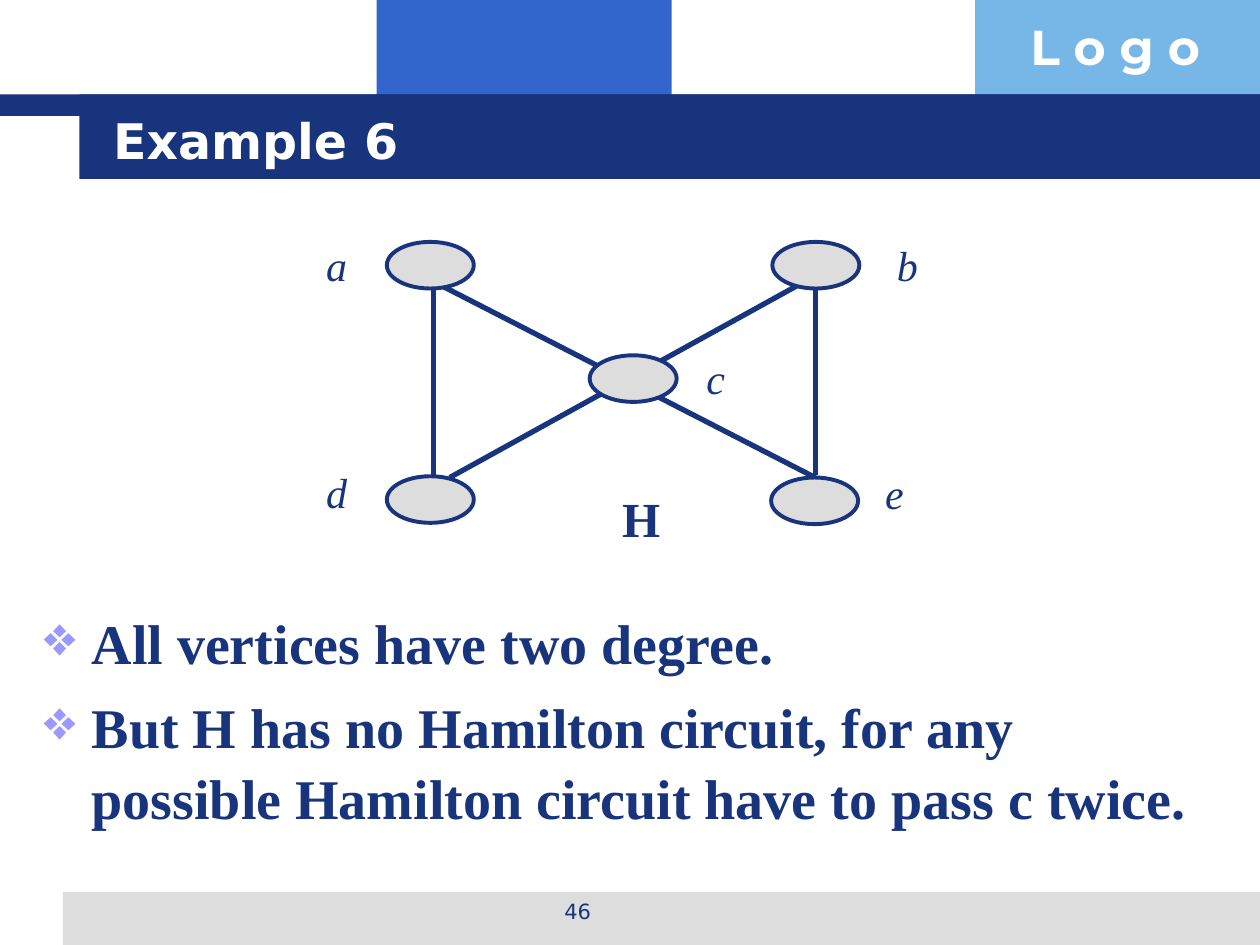
from lxml import etree
from pptx import Presentation
from pptx import util as u
from pptx.dml.color import RGBColor
from pptx.enum import shapes, text
from pptx.oxml.ns import qn

NAVY, GREY, WHITE = "17347D", "DDDDDD", "FFFFFF"
SERIF, SANS = "Times New Roman", "DejaVu Sans"
LEFT, CENTER = text.PP_ALIGN.LEFT, text.PP_ALIGN.CENTER
TOP, MIDDLE = text.MSO_ANCHOR.TOP, text.MSO_ANCHOR.MIDDLE


def color(value):
    return RGBColor.from_string(value)


def add_text(box, content, size, font, fill, bold=False, italic=False,
             align=LEFT, anchor=TOP, wrap=True):
    shape = slide.shapes.add_textbox(*map(u.Inches, box))
    frame = shape.text_frame
    frame.word_wrap = wrap
    frame.vertical_anchor = anchor
    for index, line in enumerate(content):
        paragraph = frame.paragraphs[0] if index == 0 else frame.add_paragraph()
        paragraph.alignment = align
        run = paragraph.add_run()
        run.text = line
        run.font.size = u.Pt(size)
        run.font.name = font
        run.font.bold = bold
        run.font.italic = italic
        run.font.color.rgb = color(fill)
    return frame


presentation = Presentation()
presentation.slide_width = u.Inches(10)
presentation.slide_height = u.Inches(7.5)
slide = presentation.slides.add_slide(presentation.slide_layouts[6])

# Header and footer bands
bands = [
    (2.99, 0, 2.34, 0.92, "3366CC"),
    (7.74, 0, 2.26, 0.92, "77B7E7"),
    (0.5, 7.08, 9.5, 0.42, GREY),
    (0, 0.75, 10, 0.17, NAVY),
    (0.63, 0.75, 9.37, 0.67, NAVY),
]
for *box, fill in bands:
    band = slide.shapes.add_shape(shapes.MSO_SHAPE.RECTANGLE, *map(u.Inches, box))
    band.shadow.inherit = False
    band.fill.solid()
    band.fill.fore_color.rgb = color(fill)
    band.line.fill.background()

# Header, page number and title
add_text((8.08, 0.08, 1.93, 0.57), ["L o g o"], 28, "Montserrat", WHITE, bold=True)
add_text((3.42, 7.08, 2.33, 0.35), ["46"], 12, SANS, NAVY, align=CENTER)
add_text((0.8, 0.8, 8.53, 0.62), ["Example 6"], 28, SANS, WHITE, bold=True, anchor=MIDDLE)

# Conclusions
conclusions = add_text((0.25, 4.75, 9.5, 2.25), [
    "All vertices have two degree.",
    "But H has no Hamilton circuit, for any possible Hamilton circuit have to pass c twice.",
], 32, SERIF, NAVY, bold=True)
for index, paragraph in enumerate(conclusions.paragraphs):
    paragraph.line_spacing = 1.05
    if index:
        paragraph.space_before = u.Pt(8)
    properties = paragraph._p.get_or_add_pPr()
    properties.set("marL", str(u.Inches(0.38)))
    properties.set("indent", str(-u.Inches(0.38)))
    bullet_color = etree.SubElement(properties, qn("a:buClr"))
    etree.SubElement(bullet_color, qn("a:srgbClr"), val="9999FF")
    etree.SubElement(properties, qn("a:buChar"), char="❖")

# Graph edges
edges = [
    (6.47, 3.79, 3.49, 2.26),
    (3.57, 3.79, 6.34, 2.26),
    (3.44, 2.27, 3.44, 3.77),
    (6.47, 2.27, 6.47, 3.77),
]
for ends in edges:
    edge = slide.shapes.add_connector(shapes.MSO_CONNECTOR.STRAIGHT, *map(u.Inches, ends))
    edge.line.color.rgb = color(NAVY)
    edge.line.width = u.Pt(3)
    etree.SubElement(edge._element.spPr, qn("a:effectLst"))

# Graph vertices: name, left and top of the ellipse, left and top of the label
vertices = [
    ("a", 3.07, 1.92, 2.49, 1.85),
    ("b", 6.13, 1.92, 7.02, 1.85),
    ("c", 4.68, 2.82, 5.5, 2.75),
    ("d", 3.07, 3.78, 2.49, 3.65),
    ("e", 6.12, 3.79, 6.92, 3.66),
]
for name, left, top, label_left, label_top in vertices:
    vertex = slide.shapes.add_shape(
        shapes.MSO_SHAPE.OVAL, *map(u.Inches, (left, top, 0.69, 0.37)))
    vertex.shadow.inherit = False
    vertex.fill.solid()
    vertex.fill.fore_color.rgb = color(GREY)
    vertex.line.color.rgb = color(NAVY)
    vertex.line.width = u.Pt(2.25)
    add_text((label_left, label_top, 0.36, 0.5), [name], 24, SERIF, NAVY,
             italic=True, align=CENTER, anchor=MIDDLE, wrap=False)

# Graph name
add_text((4.84, 3.83, 0.5, 0.57), ["H"], 28, SERIF, NAVY, bold=True, wrap=False)

presentation.save("out.pptx")
